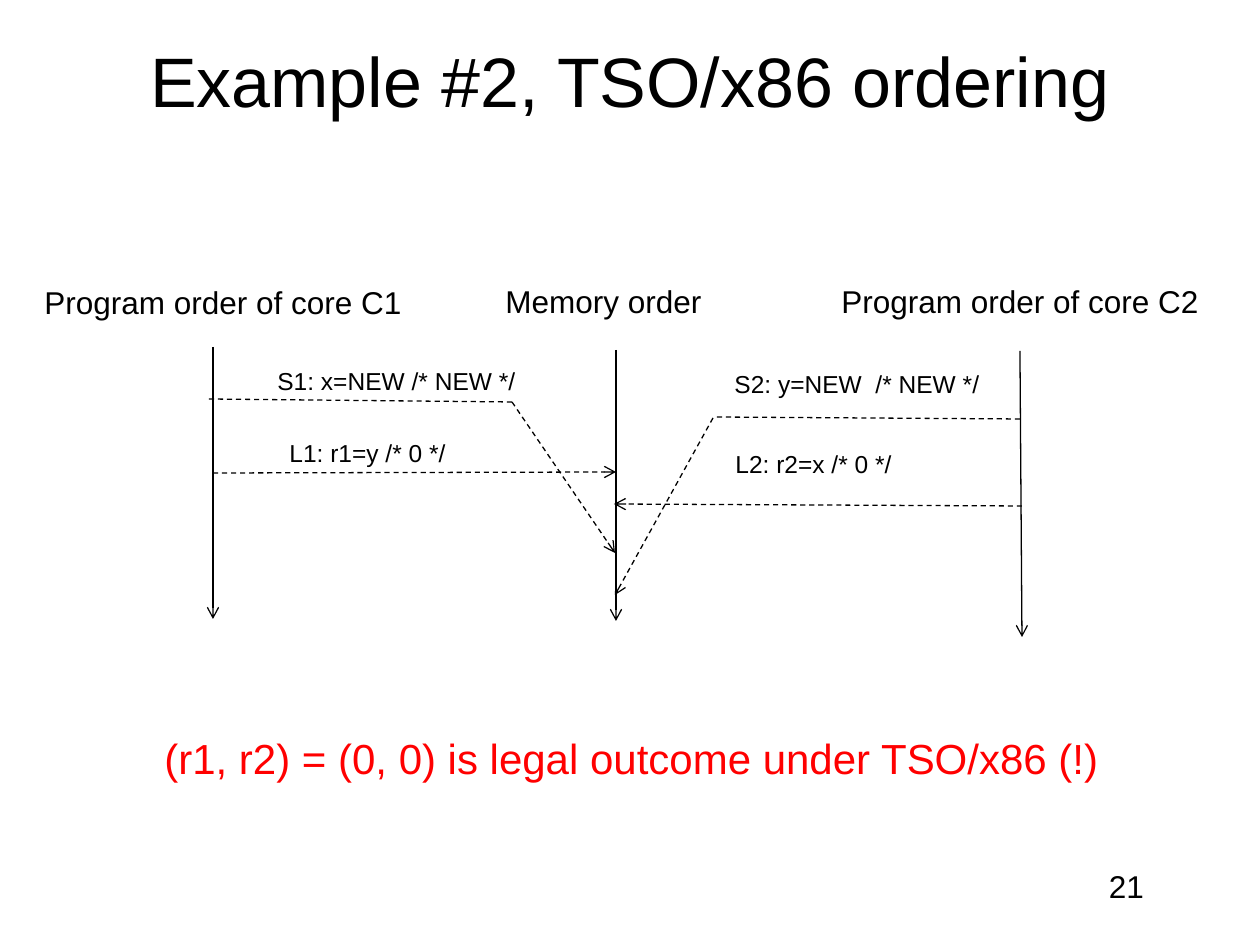
from lxml.etree import SubElement
from pptx import Presentation
from pptx.dml.color import RGBColor
from pptx.enum.dml import MSO_LINE_DASH_STYLE as Dash
from pptx.enum.shapes import MSO_CONNECTOR as Conn
from pptx.enum.text import MSO_ANCHOR as Anchor, MSO_AUTO_SIZE as Auto, PP_ALIGN as Align
from pptx.oxml.ns import qn
from pptx.util import Emu, Pt

BLACK, RED = "000000", "FF0000"
TITLE = "Example #2, TSO/x86 ordering"

# text, box in px, size in pt, colour, wrap, alignment
LABELS = [
    ("Program order of core C1", (32, 277, 386, 50), 18, BLACK, False, Align.LEFT),
    ("Memory order", (493, 276, 223, 50), 18, BLACK, False, Align.LEFT),
    ("Program order of core C2", (829, 276, 386, 50), 18, BLACK, False, Align.LEFT),
    ("S1: x=NEW /* NEW */", (265, 360, 309, 43), 14, BLACK, True, Align.LEFT),
    ("L1: r1=y /* 0 */", (277, 432, 309, 43), 14, BLACK, True, Align.LEFT),
    ("S2: y=NEW  /* NEW */", (722, 363, 273, 43), 14, BLACK, False, Align.LEFT),
    ("L2: r2=x /* 0 */", (723, 443, 183, 43), 14, BLACK, False, Align.LEFT),
    ("(r1, r2) = (0, 0) is legal outcome under TSO/x86 (!)",
     (152, 726, 969, 63), 24, RED, False, Align.LEFT),
    ("21 ", (903, 861, 262, 63), 18, BLACK, True, Align.RIGHT),
]

# start and end in px, dashed, arrowhead at the end
AXES = [
    ((213, 347), (213, 619), False, True),
    ((616, 350), (616, 621), False, True),
    ((1020, 351), (1022, 637), False, True),
]
STORES = [
    ((512, 402), (208, 399), True, False),
    ((512, 402), (615, 553), True, True),
    ((1020, 419), (716, 417), True, False),
    ((713, 418), (615, 595), True, True),
]
LOADS = [
    ((213, 473), (616, 472), True, True),
    ((1022, 506), (614, 504), True, True),
]


def px(n):
    return Emu(round(n * 914400 / 126))


def color(code):
    return RGBColor.from_string(code)


def write(frame, text, size, code, align):
    frame.text = text
    para = frame.paragraphs[0]
    para.alignment = align
    font = para.runs[0].font
    font.name, font.size = "Arial", Pt(size)
    font.color.rgb = color(code)


def label(slide, text, box, size, code, wrap, align):
    frame = slide.shapes.add_textbox(*map(px, box)).text_frame
    frame.word_wrap = wrap
    frame.auto_size = Auto.NONE if align == Align.RIGHT else Auto.SHAPE_TO_FIT_TEXT
    write(frame, text, size, code, align)


def draw(slide, start, end, dashed, arrow):
    line = slide.shapes.add_connector(Conn.STRAIGHT, *map(px, start + end))
    line.line.width = Pt(0.75)
    line.line.color.rgb = color(BLACK)
    if dashed:
        line.line.dash_style = Dash.DASH
    if arrow:
        SubElement(line.line._get_or_add_ln(), qn("a:tailEnd"), type="arrow")
    SubElement(line._element.spPr, qn("a:effectLst"))


def main():
    deck = Presentation()
    deck.slide_width, deck.slide_height = px(1260), px(945)
    slide = deck.slides.add_slide(deck.slide_layouts[5])

    title = slide.shapes.title
    title.left, title.top, title.width, title.height = map(px, (94, 0, 1071, 158))
    frame = title.text_frame
    frame.vertical_anchor = Anchor.MIDDLE
    frame.auto_size = Auto.NONE
    write(frame, TITLE, 40, BLACK, Align.CENTER)

    for item in AXES + STORES + LOADS:
        draw(slide, *item)
    for item in LABELS:
        label(slide, *item)
    deck.save("out.pptx")


if __name__ == "__main__":
    main()
